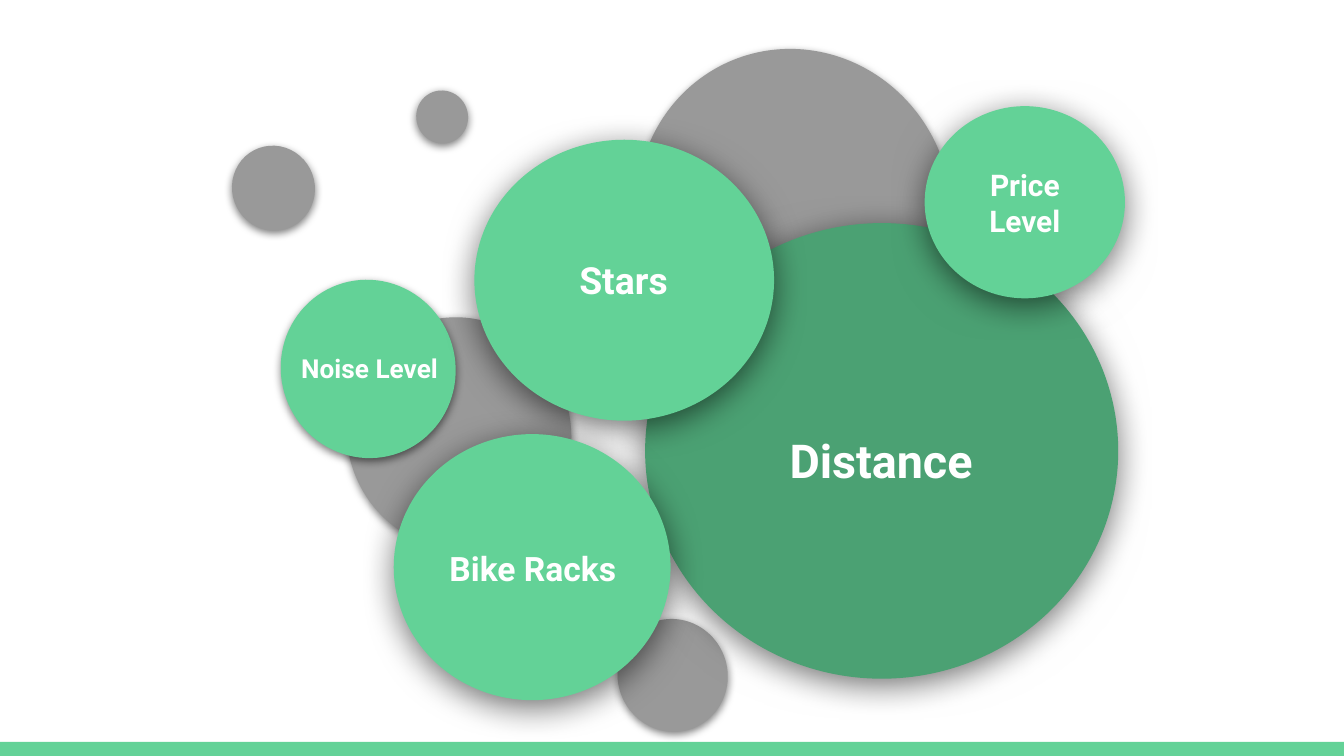
from dataclasses import dataclass
from typing import Optional

from lxml.etree import SubElement
from pptx import Presentation
from pptx.dml.color import RGBColor
from pptx.enum.shapes import MSO_SHAPE
from pptx.enum.text import MSO_ANCHOR, PP_ALIGN
from pptx.oxml.ns import qn
from pptx.util import Inches, Pt

GREEN = RGBColor(0x63, 0xD2, 0x97)
DARK_GREEN = RGBColor(0x4B, 0xA1, 0x73)
GRAY = RGBColor(0x99, 0x99, 0x99)
WHITE = RGBColor(0xFF, 0xFF, 0xFF)
FONT = "Roboto"


@dataclass(frozen=True)
class Area:
    left: float
    top: float
    width: float
    height: float

    def lengths(self):
        return [Inches(v) for v in (self.left, self.top, self.width, self.height)]


@dataclass(frozen=True)
class Shadow:
    blur: float
    distance: float
    opacity: int


@dataclass(frozen=True)
class Bubble:
    area: Area
    color: RGBColor


@dataclass(frozen=True)
class Label:
    text: str
    size: int
    area: Area


SOFT = Shadow(4.5, 1.5, 50)
DEEP = Shadow(18, 4, 55)
BACK_ROTATION = 250
BACK_STRETCH = 1.04
BACK_TOP = 0.36

BACK_BUBBLES = [
    Bubble(Area(4.6, 4.6, 0.81, 0.85), GRAY),
    Bubble(Area(1.73, 1.08, 0.61, 0.64), GRAY),
    Bubble(Area(2.58, 2.36, 1.67, 1.73), GRAY),
    Bubble(Area(4.74, BACK_TOP, 2.34, 2.43), GRAY),
    Bubble(Area(2.1, 2.07, 1.28, 1.35), GREEN),
    Bubble(Area(3.1, 0.67, 0.38, 0.4), GRAY),
]

FACTORS = [
    (Bubble(Area(4.8, 1.66, 3.52, 3.39), DARK_GREEN),
     Label("Distance", 25, Area(5.21, 2.61, 2.69, 1.62))),
    (Bubble(Area(3.53, 1.04, 2.23, 2.09), GREEN),
     Label("Stars", 20, Area(3.88, 1.39, 1.52, 1.38))),
    (Bubble(Area(2.93, 3.23, 2.06, 1.98), GREEN),
     Label("Bike Racks", 18, Area(3.23, 3.6, 1.47, 1.25))),
    (Bubble(Area(6.88, 0.79, 1.49, 1.43), GREEN),
     Label("Price Level", 16, Area(7.12, 1.03, 1.01, 0.95))),
]
NOISE_LABEL = Label("Noise Level", 14, Area(1.99, 2.05, 1.52, 1.38))


def add_filled(shapes, kind: MSO_SHAPE, area: Area, color: RGBColor):
    shape = shapes.add_shape(kind, *area.lengths())
    shape.shadow.inherit = False
    shape.fill.solid()
    shape.fill.fore_color.rgb = color
    shape.line.fill.background()
    return shape


def cast_shadow(shape, shadow: Shadow) -> None:
    """Give the shape a black shadow falling straight down."""
    effects = shape._element.spPr.find(qn("a:effectLst"))
    outer = SubElement(effects, qn("a:outerShdw"), {
        "blurRad": str(Pt(shadow.blur)), "dist": str(Pt(shadow.distance)),
        "dir": "5400000", "algn": "bl", "rotWithShape": "0"})
    black = SubElement(outer, qn("a:srgbClr"), val="000000")
    SubElement(black, qn("a:alpha"), val=str(shadow.opacity * 1000))


def add_bubble(shapes, bubble: Bubble, shadow: Shadow, rotation: float = 0) -> None:
    shape = add_filled(shapes, MSO_SHAPE.OVAL, bubble.area, bubble.color)
    shape.rotation = rotation
    cast_shadow(shape, shadow)


def add_backdrop(shapes) -> None:
    """Draw the back bubbles nearly round, then stretch their group in height."""
    group = shapes.add_group_shape()
    for bubble in BACK_BUBBLES:
        area = bubble.area
        squeezed = Area(area.left, BACK_TOP + (area.top - BACK_TOP) / BACK_STRETCH,
                        area.width, area.height / BACK_STRETCH)
        add_bubble(group.shapes, Bubble(squeezed, bubble.color), SOFT, BACK_ROTATION)
    group.height = round(group.height * BACK_STRETCH)


def add_label(shapes, label: Label, color: Optional[RGBColor] = None) -> None:
    """Add centred text, on a filled rectangle when a color is given."""
    if color is None:
        box = shapes.add_textbox(*label.area.lengths())
    else:
        box = add_filled(shapes, MSO_SHAPE.RECTANGLE, label.area, color)
    frame = box.text_frame
    frame.word_wrap = True
    frame.vertical_anchor = MSO_ANCHOR.MIDDLE
    frame.margin_left = frame.margin_right = Inches(0.1)
    frame.margin_top = frame.margin_bottom = Inches(0.1)
    para = frame.paragraphs[0]
    para.alignment = PP_ALIGN.CENTER
    span = para.add_run()
    span.text = label.text
    span.font.name = FONT
    span.font.size = Pt(label.size)
    span.font.bold = True
    span.font.color.rgb = WHITE


def main() -> None:
    deck = Presentation()
    deck.slide_width = Inches(10)
    deck.slide_height = deck.slide_width * 9 // 16
    page = deck.slides.add_slide(deck.slide_layouts[6])

    add_filled(page.shapes, MSO_SHAPE.RECTANGLE, Area(0, 5.52, 10, 0.11), GREEN)
    add_backdrop(page.shapes)

    for bubble, label in FACTORS:
        group = page.shapes.add_group_shape().shapes
        add_bubble(group, bubble, DEEP)
        add_label(group, label, bubble.color)

    add_label(page.shapes, NOISE_LABEL)
    deck.save("out.pptx")


if __name__ == "__main__":
    main()
